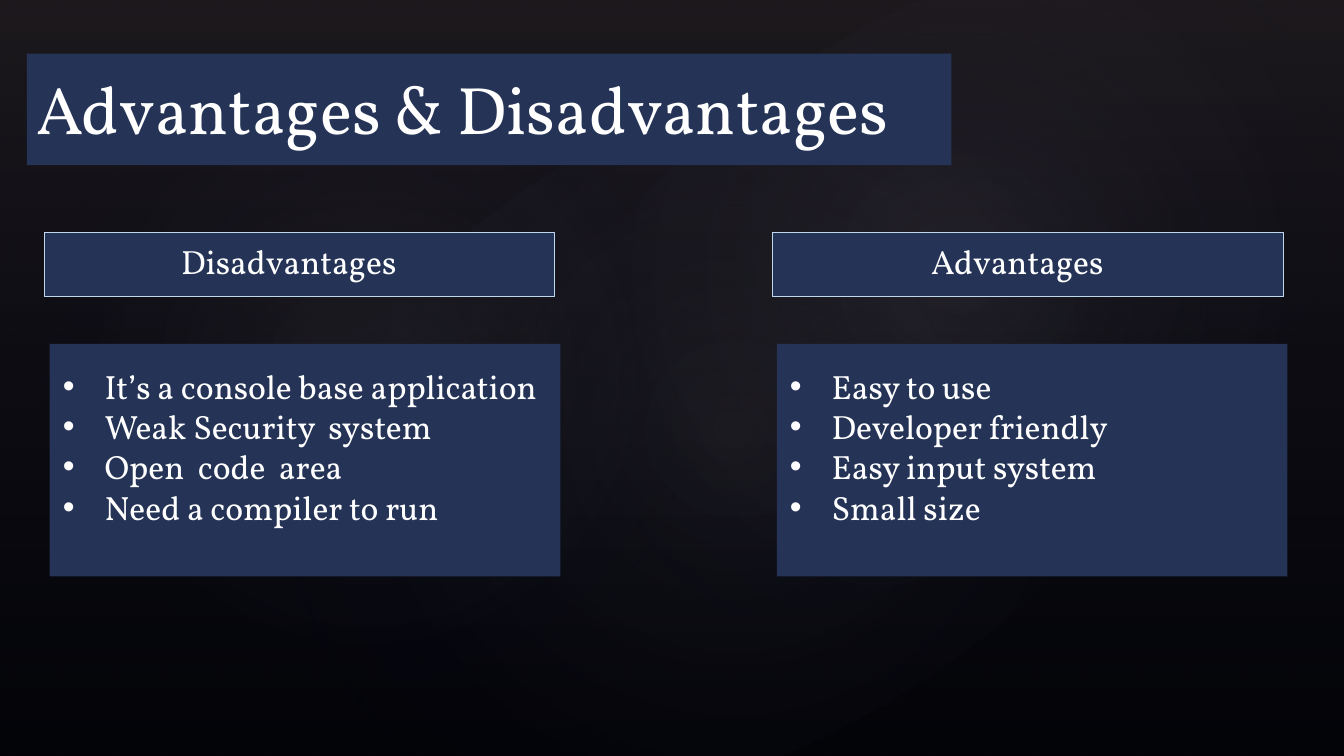
from pptx import Presentation
from pptx.dml.color import RGBColor
from pptx.enum.shapes import MSO_SHAPE as Kind
from pptx.enum.text import MSO_ANCHOR as Anchor, MSO_AUTO_SIZE as Fit
from pptx.oxml import parse_xml
from pptx.oxml.ns import nsdecls, qn
from pptx.util import Inches, Pt

WIDE = 10
HIGH = WIDE * 9 / 16
NAVY, PALE, WHITE = "253356", "C0D8ED", "FFFFFF"
LINEAR = '<a:lin ang="5400000" scaled="0"/>'
RADIAL = ('<a:path path="circle"><a:fillToRect l="50000" t="50000" '
          'r="50000" b="50000"/></a:path>')
GLOWS = [  # left, top, width, height, rotation, opacity
    (1.5, 0.85, 7.92, 4.68, 328.7, 7),
    (0.46, 0.34, 4.54, 4.9, 294.3, 8),
    (3.58, 0.1, 7.09, 3.9, 328.7, 8),
]
PANELS = [  # left, text height, points
    (0.37, 1.31, ["It’s a console base application", "Weak Security  system",
                  "Open  code  area", "Need a compiler to run"]),
    (5.78, 1.62, ["Easy to use", "Developer friendly", "Easy input system",
                  "Small size"]),
]
HEADS = [  # box left, text left, text
    (0.33, 1.25, "Disadvantages"),
    (5.75, 6.83, "Advantages"),
]


def color(code):
    return RGBColor.from_string(code)


def add_box(slide, left, top, width, height, fill=None, line=None,
            kind=Kind.RECTANGLE):
    box = slide.shapes.add_shape(kind, Inches(left), Inches(top),
                                 Inches(width), Inches(height))
    box.shadow.inherit = False
    if fill:
        box.fill.solid()
        box.fill.fore_color.rgb = color(fill)
    else:
        box.fill.background()
    if line:
        box.line.color.rgb = color(line)
        box.line.width = Pt(0.5)
    else:
        box.line.fill.background()
    return box


def blend(box, stops, shade):
    """Fill with a gradient of (position, colour, opacity) stops."""
    marks = "".join(
        f'<a:gs pos="{pos * 1000}"><a:srgbClr val="{code}">'
        f'<a:alpha val="{alpha * 1000}"/></a:srgbClr></a:gs>'
        for pos, code, alpha in stops)
    grad = parse_xml(f'<a:gradFill {nsdecls("a")} rotWithShape="1">'
                     f'<a:gsLst>{marks}</a:gsLst>{shade}</a:gradFill>')
    props = box.element.spPr
    props.replace(props.find(qn("a:noFill")), grad)


def add_bullet(para):
    props = para._p.get_or_add_pPr()
    props.set("marL", str(Inches(0.31)))
    props.set("indent", str(-Inches(0.31)))
    props.append(parse_xml(f'<a:buFont {nsdecls("a")} typeface="Arial"/>'))
    props.append(parse_xml(f'<a:buChar {nsdecls("a")} char="•"/>'))


def add_text(slide, lines, left, top, width, height, size=18,
             anchor=Anchor.TOP, fit=Fit.SHAPE_TO_FIT_TEXT, bullet=False):
    box = slide.shapes.add_textbox(Inches(left), Inches(top),
                                   Inches(width), Inches(height))
    frame = box.text_frame
    frame.word_wrap = True
    frame.auto_size = fit
    frame.vertical_anchor = anchor
    frame.text = "\n".join(lines)
    for para in frame.paragraphs:
        font = para.runs[0].font
        font.name, font.size = "Vollkorn", Pt(size)
        font.color.rgb = color(WHITE)
        if bullet:
            add_bullet(para)


def add_backdrop(slide):
    back = slide.background.fill
    back.solid()
    back.fore_color.rgb = color("000000")
    veil = add_box(slide, 0, 0, WIDE, HIGH)
    blend(veil, [(0, "504652", 36), (100, "242852", 10)], LINEAR)
    for *place, turn, alpha in GLOWS:
        glow = add_box(slide, *place, kind=Kind.OVAL)
        glow.rotation = turn
        blend(glow, [(0, "C4BCC6", alpha), (58, "242852", 0)], RADIAL)


def main():
    deck = Presentation()
    deck.slide_width, deck.slide_height = Inches(WIDE), Inches(HIGH)
    slide = deck.slides.add_slide(deck.slide_layouts[6])
    add_backdrop(slide)
    add_box(slide, 0.2, 0.4, 6.88, 0.83, NAVY)
    add_text(slide, ["Advantages & Disadvantages"], 0.17, 0.4, 6.92, 0.75,
             size=36, anchor=Anchor.BOTTOM, fit=Fit.NONE)
    for left, height, points in PANELS:
        add_box(slide, left, 2.56, 3.8, 1.73, NAVY)
        add_text(slide, points, left, 2.67, 3.8, height, bullet=True)
    for left, _, _ in HEADS:
        add_box(slide, left, 1.73, 3.8, 0.48, NAVY, PALE)
    for _, left, head in HEADS:
        add_text(slide, [head], left, 1.74, 2.17, 0.4)
    deck.save("out.pptx")


if __name__ == "__main__":
    main()
